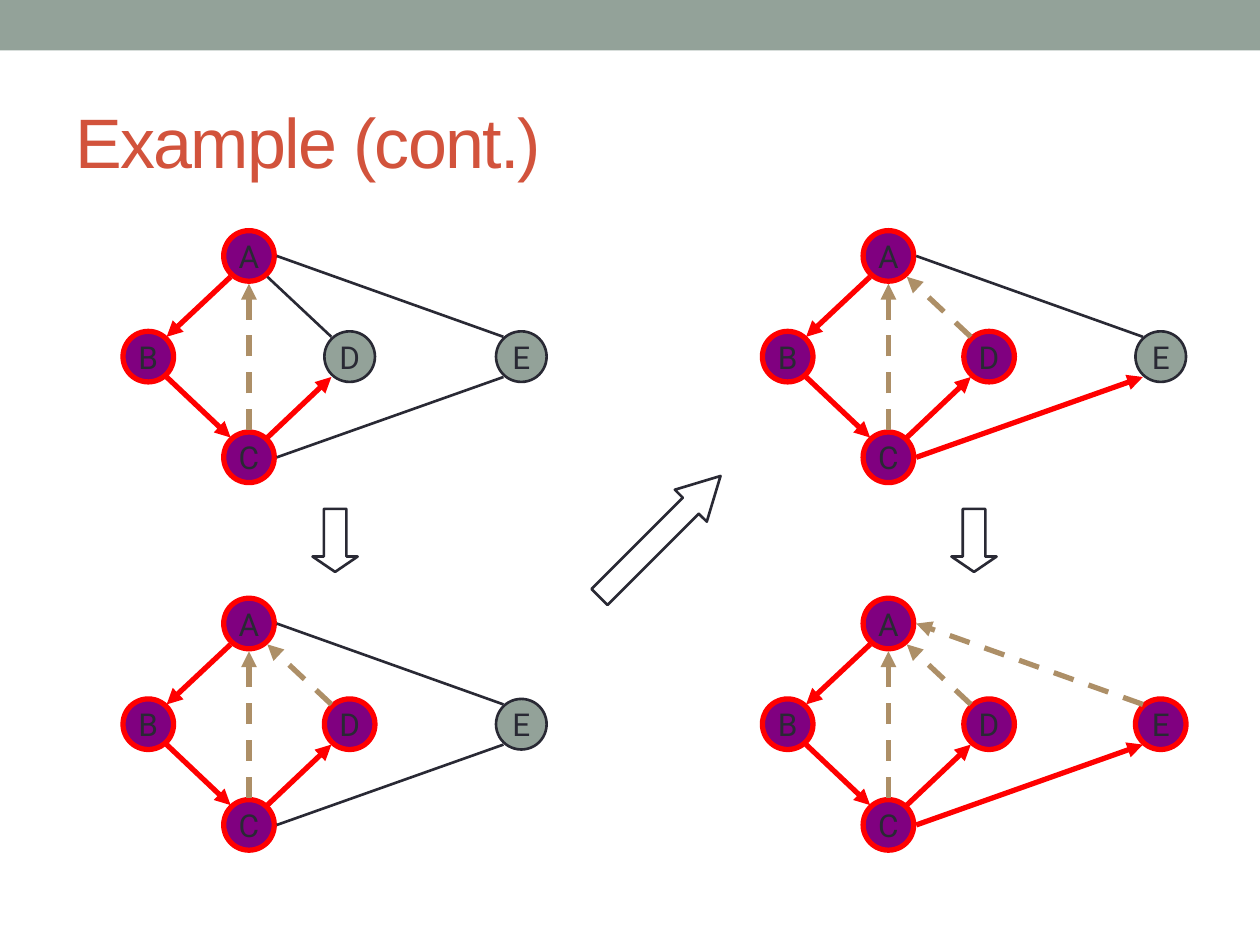
import dataclasses

import pptx
import pptx.dml.color
import pptx.enum.dml
import pptx.enum.shapes
import pptx.enum.text
import pptx.oxml.ns
import pptx.util
from lxml import etree

Cm = pptx.util.Cm
Pt = pptx.util.Pt
Color = pptx.dml.color.RGBColor.from_string
Shape = pptx.enum.shapes.MSO_SHAPE
qn = pptx.oxml.ns.qn


@dataclasses.dataclass(frozen=True)
class Theme:
    sage: str = "93A299"
    title: str = "D2533C"
    ink: str = "292934"
    visited: str = "800080"
    tree: str = "FF0000"
    back: str = "AD8F67"
    title_font: str = "Arial"
    node_font: str = "Roboto"
    title_size: int = 40
    node_size: int = 18
    thin: float = 1.5
    thick: float = 3


theme = Theme()


def add_text(frame, text, font, size, color, align):
    para = frame.paragraphs[0]
    para.alignment = align
    span = para.add_run()
    span.text = text
    span.font.name = font
    span.font.size = Pt(size)
    span.font.color.rgb = Color(color)
    return span


def set_line(item, color, width):
    item.line.color.rgb = Color(color)
    item.line.width = Pt(width)


deck = pptx.Presentation()
deck.slide_width = Cm(25.4)
deck.slide_height = Cm(19.05)
page = deck.slides.add_slide(deck.slide_layouts[5])

# Top band
band = page.shapes.add_shape(Shape.RECTANGLE, 0, 0, deck.slide_width, Cm(1.02))
band.shadow.inherit = False
band.fill.solid()
band.fill.fore_color.rgb = Color(theme.sage)
band.line.fill.background()

# Title
title = page.shapes.title
title.left, title.top, title.width, title.height = Cm(1.27), Cm(1.47), Cm(22.86), Cm(2.74)
title.text_frame.vertical_anchor = pptx.enum.text.MSO_ANCHOR.MIDDLE
title.text_frame.auto_size = pptx.enum.text.MSO_AUTO_SIZE.NONE
span = add_text(title.text_frame, "Example (cont.)", theme.title_font,
                theme.title_size, theme.title, pptx.enum.text.PP_ALIGN.LEFT)
span.font._element.set("spc", "-100")

# Graph geometry in cm, measured from the centre of node A
diameter = 1.02
nodes = {"A": (0, 0), "B": (-2.03, 2.03), "C": (0, 4.06),
         "D": (2.03, 2.03), "E": (5.49, 2.03)}
edges = {
    "AB": (-0.37, 0.42, -1.66, 1.63),
    "BC": (-1.66, 2.44, -0.37, 3.66),
    "CD": (0.37, 3.66, 1.66, 2.44),
    "DA": (1.66, 1.63, 0.37, 0.42),
    "CA": (0, 3.51, 0, 0.56),
    "CE": (0.56, 4.06, 5.13, 2.44),
    "EA": (5.13, 1.63, 0.56, 0),
}

# Search steps: centre of A, visited nodes, tree edges, back edges
first_tree = ("AB", "BC", "CD")
full_tree = first_tree + ("CE",)
left, right, upper, lower = 5.02, 17.91, 5.16, 12.57
steps = [
    (left, upper, "ABC", first_tree, ("CA",)),
    (left, lower, "ABCD", first_tree, ("CA", "DA")),
    (right, upper, "ABCD", full_tree, ("CA", "DA")),
    (right, lower, "ABCDE", full_tree, ("CA", "DA", "EA")),
]

for x, y, visited, tree, back in steps:
    # Nodes
    for name, (dx, dy) in nodes.items():
        node = page.shapes.add_shape(
            Shape.OVAL, Cm(x + dx - diameter / 2), Cm(y + dy - diameter / 2),
            Cm(diameter), Cm(diameter))
        node.shadow.inherit = False
        node.fill.solid()
        if name in visited:
            node.fill.fore_color.rgb = Color(theme.visited)
            set_line(node, theme.tree, theme.thick)
        else:
            node.fill.fore_color.rgb = Color(theme.sage)
            set_line(node, theme.ink, theme.thin)
        node.text_frame.word_wrap = False
        node.text_frame.vertical_anchor = pptx.enum.text.MSO_ANCHOR.MIDDLE
        add_text(node.text_frame, name, theme.node_font, theme.node_size,
                 theme.ink, pptx.enum.text.PP_ALIGN.CENTER)

    # Edges
    for name, (x1, y1, x2, y2) in edges.items():
        edge = page.shapes.add_connector(
            pptx.enum.shapes.MSO_CONNECTOR.STRAIGHT,
            Cm(x + x1), Cm(y + y1), Cm(x + x2), Cm(y + y2))
        if name in tree:
            set_line(edge, theme.tree, theme.thick)
        elif name in back:
            set_line(edge, theme.back, theme.thick)
            edge.line.dash_style = pptx.enum.dml.MSO_LINE.DASH
        else:
            set_line(edge, theme.ink, theme.thin)
        if name in tree + back:
            etree.SubElement(edge.line._get_or_add_ln(), qn("a:tailEnd"), type="triangle")
        etree.SubElement(edge._element.spPr, qn("a:effectLst"))

# Block arrows between steps: left, top, length, rotation, head ratio
for x, y, length, rotation, head in [
    (6.12, 10.44, 1.27, 90, 0.34),
    (11.58, 10.36, 3.45, 315, 0.93),
    (19, 10.44, 1.27, 90, 0.34),
]:
    arrow = page.shapes.add_shape(Shape.RIGHT_ARROW, Cm(x), Cm(y), Cm(length), Cm(0.91))
    arrow.shadow.inherit = False
    arrow.rotation = rotation
    arrow.adjustments[0] = 0.5
    arrow.adjustments[1] = head
    arrow.fill.background()
    set_line(arrow, theme.ink, theme.thin)

deck.save("out.pptx")
